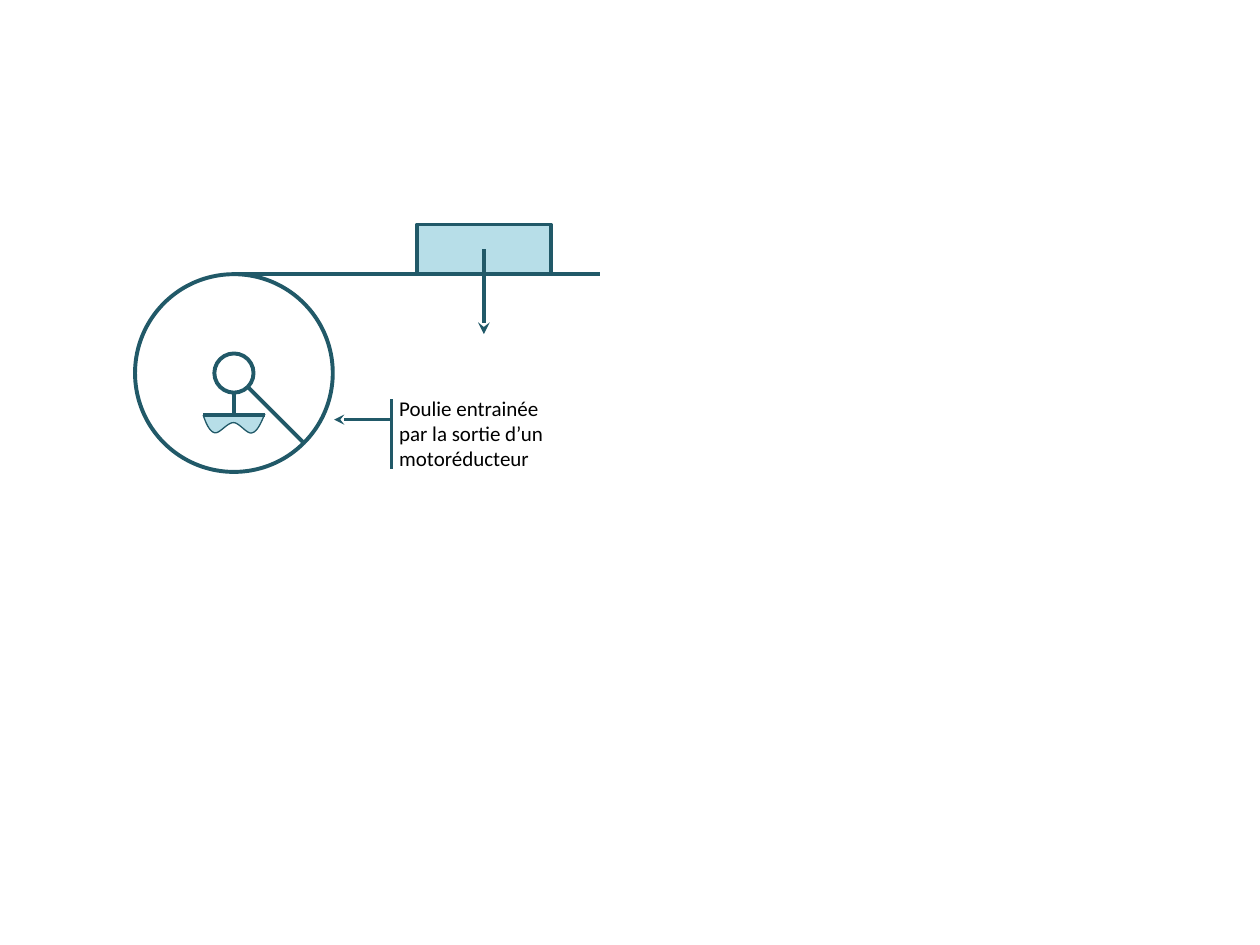
from math import cos, pi
from pptx import Presentation
from pptx.dml.color import RGBColor as RGB
from pptx.enum.shapes import MSO_CONNECTOR as Link, MSO_SHAPE as Kind
from pptx.enum.text import MSO_AUTO_SIZE as Fit
from pptx.oxml.ns import qn
from pptx.util import Pt
from lxml.etree import SubElement as Sub

TEAL = RGB(0x21, 0x59, 0x68)
PALE = RGB(0xB7, 0xDE, 0xE8)
BLACK = RGB(0, 0, 0)
BOLD, THIN, HAIR = 2.25, 1.5, 0.75

# Ground outline: start, then two controls and an end for each curve
GROUND = [(0, 0), (1.4, 4.3), (3.6, 9.4), (6.5, 10.1),
          (9.4, 10.8), (13.7, 4.3), (17.3, 4.3),
          (20.9, 4.3), (25.2, 11.5), (28.1, 10.1),
          (31, 9.4), (33.1, 4.3), (35.3, -0.7)]


def style(shape, width, fill=None):
    shape.shadow.inherit = False
    if fill is None:
        shape.fill.background()
    else:
        shape.fill.solid()
        shape.fill.fore_color.rgb = fill
    shape.line.color.rgb = TEAL
    shape.line.width = Pt(width)


def draw(slide, kind, box, fill=None):
    shape = slide.shapes.add_shape(kind, *map(Pt, box))
    style(shape, BOLD, fill)


def join(slide, start, end, width=BOLD, arrow=False):
    link = slide.shapes.add_connector(Link.STRAIGHT, *map(Pt, start + end))
    link.line.color.rgb = TEAL
    link.line.width = Pt(width)
    props = link._element.spPr
    if arrow:
        Sub(props.find(qn("a:ln")), qn("a:tailEnd"), type="stealth")
    Sub(props, qn("a:effectLst"))


def trace(knots, steps=12):
    """Return points along a chain of cubic curves."""
    out = [knots[0]]
    for i in range(0, len(knots) - 1, 3):
        for n in range(1, steps + 1):
            t = n / steps
            parts = ((1 - t) ** 3, 3 * t * (1 - t) ** 2,
                     3 * t * t * (1 - t), t ** 3)
            out.append(tuple(sum(p * k[axis] for p, k in zip(parts, knots[i:i + 4]))
                             for axis in (0, 1)))
    return out


def add_mount(slide, left, top, width):
    dots = [(Pt(left + x), Pt(top + y)) for x, y in trace(GROUND)]
    form = slide.shapes.build_freeform(*dots[0])
    form.add_line_segments(dots[1:], close=False)
    style(form.convert_to_shape(), HAIR, PALE)
    join(slide, (left + width, top), (left, top))


def add_wheel(slide, left, top, size):
    rim, hub = size / 2, 11.2
    x, y = left + rim, top + rim
    add_mount(slide, x - 17.6, y + 24, 35.2)
    for r in (hub, rim):
        draw(slide, Kind.OVAL, (x - r, y - r, 2 * r, 2 * r))
    join(slide, (x, y + hub), (x, y + 24))
    near, far = (r * cos(pi / 4) for r in (hub, rim))
    join(slide, (x + near, y + near), (x + far, y + far))


def add_load(slide, left, top, width, height):
    draw(slide, Kind.RECTANGLE, (left, top, width, height), PALE)
    x, y = left + width / 2, top + height / 2
    join(slide, (x, y), (x, y + 48.4), arrow=True)


def add_label(slide, left, top, width, height, text):
    x, y = left + 2.9, top + 17.3
    join(slide, (x, y), (x - 33, y), THIN, True)
    box = slide.shapes.add_textbox(*map(Pt, (left, top, width, height)))
    frame = box.text_frame
    frame.word_wrap = True
    frame.auto_size = Fit.SHAPE_TO_FIT_TEXT
    frame.text = text
    font = frame.paragraphs[0].runs[0].font
    for key, value in {"name": "Calibri", "size": Pt(12)}.items():
        setattr(font, key, value)
    font.color.rgb = BLACK
    join(slide, (x, top + 5.8), (x, top + 45.4), THIN)


def main():
    deck = Presentation()
    deck.slide_width, deck.slide_height = Pt(720), Pt(540)
    slide = deck.slides.add_slide(deck.slide_layouts[6])
    add_wheel(slide, 77.2, 156.7, 113)
    join(slide, (133.7, 156.7), (342.7, 156.7))
    add_load(slide, 238.3, 128.3, 76.4, 28.4)
    add_label(slide, 221, 222.5, 111.6, 51,
              "Poulie entrainée par la sortie d’un motoréducteur")
    deck.save("out.pptx")


if __name__ == "__main__":
    main()
